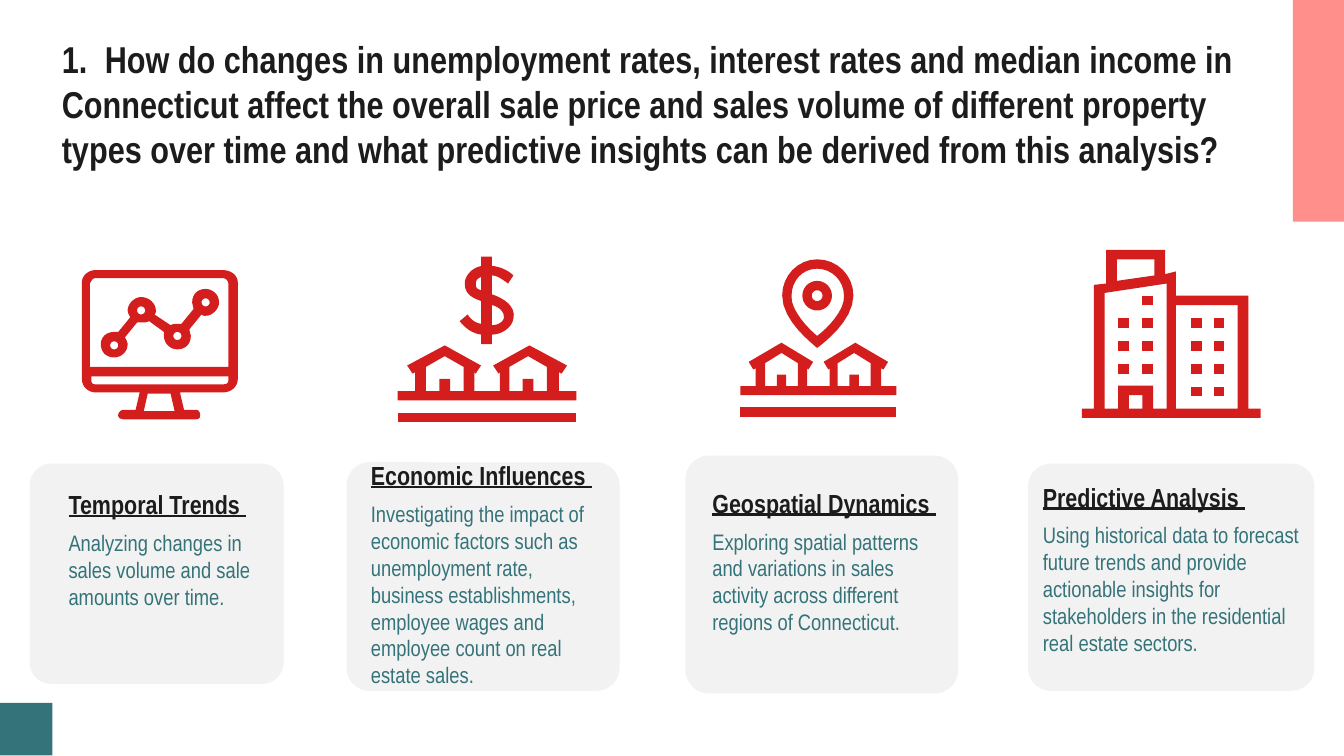
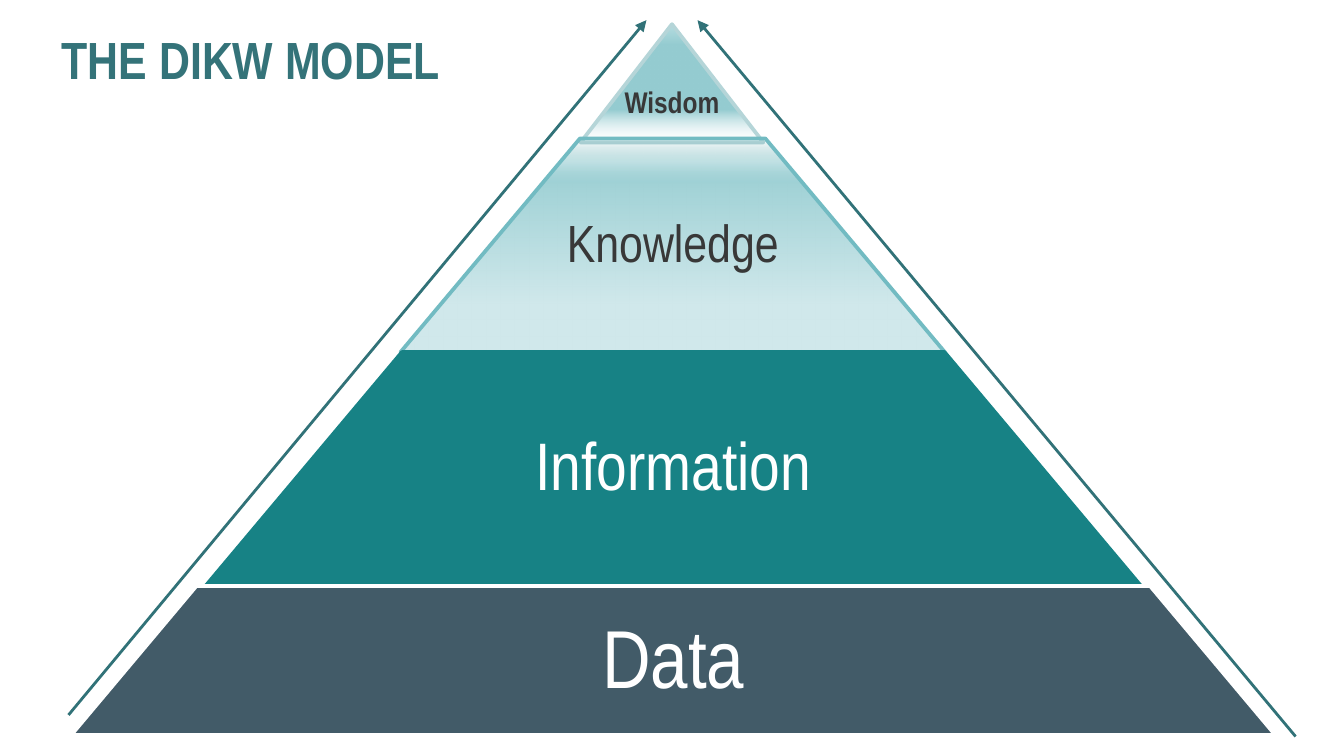
import math

from pptx import Presentation
from pptx import util as u
from pptx.dml.color import RGBColor
from pptx.enum import shapes, text
from pptx.oxml import parse_xml
from pptx.oxml.ns import nsdecls, qn

PX = 9144
FONT = "Arial Narrow"
COLORS = {
    "ink": "1C1C1C", "teal": "347379", "coral": "FF8F8A", "panel": "F2F2F2",
    "icon": "D41E1E", "gray": "383838", "white": "FFFFFF", "arrow": "317278",
    "information": "178285", "data": "425B68",
    "wisdom line": "B5D5D8", "knowledge line": "72BBC2",
}
HOUSE_SIZE = (133, 41)
CURVE_STEPS = 8


def px(length):
    return round(length * PX)


def color(name):
    return RGBColor.from_string(COLORS[name])


def add_block(slide, kind, box, fill=None, line=None):
    shape = slide.shapes.add_shape(kind, *map(px, box))
    shape.shadow.inherit = False
    if fill:
        shape.fill.solid()
        shape.fill.fore_color.rgb = color(fill)
    if line:
        shape.line.color.rgb = color(line)
        shape.line.width = u.Pt(2)
    else:
        shape.line.fill.background()
    return shape


def style(paragraph, size, name, bold=False, underline=False):
    paragraph.font.name = FONT
    paragraph.font.size = u.Pt(size)
    paragraph.font.bold = bold
    paragraph.font.underline = underline
    paragraph.font.color.rgb = color(name)


def set_frame(frame, anchor, horizontal, vertical):
    frame.word_wrap = True
    frame.auto_size = text.MSO_AUTO_SIZE.NONE
    frame.vertical_anchor = anchor
    frame.margin_left = frame.margin_right = px(horizontal)
    frame.margin_top = frame.margin_bottom = px(vertical)


def add_text(slide, box, margin):
    frame = slide.shapes.add_textbox(*map(px, box)).text_frame
    set_frame(frame, text.MSO_ANCHOR.MIDDLE, margin, margin)
    return frame


def set_title(slide, box, words, size, name, margin, tab=None):
    title = slide.shapes.title
    title.left, title.top, title.width, title.height = map(px, box)
    set_frame(title.text_frame, text.MSO_ANCHOR.TOP, 10, margin)
    paragraph = title.text_frame.paragraphs[0]
    paragraph.text = words
    paragraph.alignment = text.PP_ALIGN.LEFT
    if tab:
        paragraph._p.get_or_add_pPr().append(parse_xml(
            f'<a:tabLst {nsdecls("a")}><a:tab pos="{px(tab)}" algn="l"/></a:tabLst>'))
    style(paragraph, size, name, bold=True)


def flatten(outline):
    points = [outline[0]]
    for step in outline[1:]:
        if len(step) == 2:
            points.append(step)
            continue
        controls = [points[-1], step[:2], step[2:4], step[4:]]
        for index in range(1, CURVE_STEPS + 1):
            t = index / CURVE_STEPS
            weights = ((1 - t) ** 3, 3 * t * (1 - t) ** 2, 3 * t * t * (1 - t), t ** 3)
            points.append(tuple(sum(w * c[axis] for w, c in zip(weights, controls))
                                for axis in (0, 1)))
    return points


def circle(x, y, radius):
    angles = [math.tau * index / 32 for index in range(32)]
    return [(x + radius * math.cos(a), y + radius * math.sin(a)) for a in angles]


def rectangle(width, height):
    return [(0, 0), (0, height), (width, height), (width, 0)]


def draw(slide, box, size, outlines):
    left, top, width, height = box
    contours = [[(px(left + x * width / size[0]), px(top + y * height / size[1]))
                 for x, y in flatten(outline)] for outline in outlines]
    builder = slide.shapes.build_freeform(*contours[0][0], scale=1.0)
    builder.add_line_segments(contours[0][1:], close=True)
    for contour in contours[1:]:
        builder.move_to(*contour[0])
        builder.add_line_segments(contour[1:], close=True)
    shape = builder.convert_to_shape()
    shape.shadow.inherit = False
    shape.fill.solid()
    shape.fill.fore_color.rgb = color("icon")
    shape.line.fill.background()


def draw_monitor(slide, left, top):
    trend = [
        (92, 14), (86, 14, 82, 18, 82, 24), (82, 25, 83, 28, 83, 29), (74, 40),
        (70, 40, 67, 40, 66, 41), (54, 33), (55, 32, 55, 31, 55, 30),
        (55, 25, 50, 20, 44, 20), (39, 20, 34, 25, 34, 30), (34, 31, 35, 34, 36, 35),
        (27, 46), (24, 46), (18, 46, 14, 50, 14, 55), (14, 61, 18, 65, 24, 65),
        (29, 65, 34, 61, 34, 55), (34, 54, 33, 52, 32, 50), (41, 39), (44, 39),
        (46, 39, 48, 39, 50, 38), (61, 46), (61, 49), (61, 55, 66, 59, 71, 59),
        (77, 59, 81, 55, 81, 49), (81, 48, 80, 46, 80, 44), (89, 33),
        (90, 34, 91, 34, 92, 34), (97, 34, 102, 29, 102, 24), (102, 18, 97, 14, 92, 14)]
    dots = [circle(x, y, 3) for x, y in ((92, 24), (44, 30), (71, 49), (24, 56))]
    case = [
        (10, 0), (5, 0, 0, 4, 0, 9), (0, 81), (0, 87, 5, 91, 10, 91), (43, 91),
        (40, 104), (31, 104), (29, 104, 27, 106, 27, 108), (27, 110, 29, 111, 31, 111),
        (85, 111), (87, 111, 88, 110, 88, 108), (88, 106, 87, 104, 85, 104), (76, 104),
        (73, 91), (105, 91), (111, 91, 116, 87, 116, 81), (116, 9), (116, 4, 111, 0, 105, 0)]
    display = [(105, 6), (107, 6, 109, 8, 109, 10), (109, 72), (6, 72), (6, 10),
               (7, 8, 8, 6, 10, 6)]
    strip = [(109, 79), (109, 82), (109, 84, 108, 85, 105, 85), (10, 85),
             (8, 85, 7, 84, 7, 82), (7, 79)]
    stand = [(66, 92), (69, 105), (46, 105), (49, 92)]
    box = (left, top, 116, 111)
    draw(slide, box, box[2:], [trend, *dots])
    draw(slide, box, box[2:], [case, display, strip, stand])


def draw_houses(slide, left, top, width, height, gap):
    half = [(57, 34), (57, 20), (58, 21), (62, 15), (35, 0), (7, 15), (11, 21),
            (13, 20), (13, 34), (0, 34), (0, 41)]
    outer = half + [(HOUSE_SIZE[0] - x, y) for x, y in reversed(half)]
    opening = [(35, 8), (49, 16), (49, 34), (39, 34), (39, 25), (31, 25), (31, 34),
               (21, 34), (21, 16)]
    second = [(x + 62, y) for x, y in opening]
    draw(slide, (left, top, width, height), HOUSE_SIZE, [outer, opening, second])
    draw(slide, (left, top + height + gap, width, 7), (width, 7), [rectangle(width, 7)])


def draw_dollar(slide, left, top):
    sign = [
        (16, 0), (16, 7), (10, 8, 5, 13, 4, 18), (3, 26, 7, 30, 16, 33), (16, 50),
        (9, 49, 6, 43, 6, 43), (0, 48), (4, 53, 9, 57, 16, 58), (16, 65), (24, 65),
        (24, 58), (31, 58, 39, 53, 40, 46), (42, 37, 33, 31, 24, 28), (24, 14),
        (28, 14, 32, 17, 36, 20), (40, 14), (36, 10, 29, 7, 24, 7), (24, 0)]
    upper = [(16, 15), (16, 25), (12, 24, 12, 22, 12, 20), (12, 17, 14, 16, 16, 15)]
    lower = [(24, 36), (24, 36, 33, 38, 33, 45), (33, 48, 29, 51, 24, 51)]
    draw(slide, (left, top, 42, 65), (42, 65), [sign, upper, lower])


def draw_pin(slide, left, top):
    outer = [(26, 0), (12, 0, 0, 12, 0, 27), (0, 46, 23, 63, 26, 66),
             (30, 63, 53, 46, 53, 27), (53, 12, 41, 0, 26, 0)]
    inner = [(26, 7), (37, 7, 46, 16, 46, 27), (47, 38, 33, 52, 26, 57),
             (20, 52, 6, 38, 7, 27), (7, 16, 15, 7, 26, 7)]
    draw(slide, (left + 15, top + 16, 22, 22), (22, 22),
         [circle(11, 11, 11), circle(11, 11, 4)])
    draw(slide, (left, top, 53, 66), (53, 66), [outer, inner])


def draw_building(slide, left, top):
    for x, rows in ((27, range(1, 4)), (45, range(4)), (81, range(1, 5)), (98, range(1, 5))):
        for row in rows:
            draw(slide, (left + x, top + 34 + 17 * row, 8, 7), (8, 7), [rectangle(8, 7)])
    walls = [(18, 0), (18, 25), (9, 26), (9, 118), (0, 118), (0, 125), (133, 125),
             (133, 118), (124, 118), (124, 34), (70, 34), (70, 16), (62, 18), (62, 0)]
    roof = [(54, 7), (54, 19), (26, 23), (26, 7)]
    door = [(45, 108), (45, 118), (35, 118), (35, 108)]
    annex = [(116, 41), (116, 118), (70, 118), (70, 41)]
    tower = [(63, 25), (63, 118), (53, 118), (53, 101), (27, 101), (27, 118), (17, 118),
             (17, 32)]
    draw(slide, (left, top, 133, 125), (133, 125), [walls, roof, door, annex, tower])


def add_topic(slide, panel, box, heading, body):
    add_block(slide, shapes.MSO_SHAPE.ROUNDED_RECTANGLE, panel, "panel").adjustments[0] = 0.1
    frame = add_text(slide, box, 13)
    first = frame.paragraphs[0]
    first.text = heading
    first.space_after = u.Pt(5)
    style(first, 14, "ink", bold=True, underline=True)
    second = frame.add_paragraph()
    second.text = body
    style(second, 12, "teal")


def add_bands(slide):
    add_block(slide, shapes.MSO_SHAPE.RECTANGLE, (0, 523, 39, 39), "teal")
    add_block(slide, shapes.MSO_SHAPE.RECTANGLE, (962, 0, 39, 165), "coral")


def build_question(slide):
    add_bands(slide)
    set_title(slide, (36, 17, 924, 170),
              "1.\tHow do changes in unemployment rates, interest rates and median income in "
              "Connecticut affect the overall sale price and sales volume of different property "
              "types over time and what predictive insights can be derived from this analysis?",
              20, "ink", 10, tab=32)
    topics = [
        ((22, 345, 189, 164), (38, 321, 165, 175), "Temporal Trends ",
         "Analyzing changes in sales volume and sale amounts over time."),
        ((258, 344, 203, 170), (263, 400, 197, 54), "Economic Influences ",
         "Investigating the impact of economic factors such as unemployment rate, business "
         "establishments, employee wages and employee count on real estate sales."),
        ((510, 339, 203, 177), (517, 368, 205, 99), "Geospatial Dynamics ",
         "Exploring spatial patterns and variations in sales activity across different "
         "regions of Connecticut."),
        ((765, 345, 213, 169), (763, 395, 226, 56), "Predictive Analysis ",
         "Using historical data to forecast future trends and provide actionable insights "
         "for stakeholders in the residential real estate sectors."),
    ]
    for topic in topics:
        add_topic(slide, *topic)
    draw_monitor(slide, 61, 201)
    draw_dollar(slide, 342, 191)
    draw_houses(slide, 296, 257, 133, 41, 9)
    draw_houses(slide, 551, 255, 116, 39, 9)
    draw_pin(slide, 582, 193)
    draw_building(slide, 805, 186)


def set_gradient(shape, stops, angle):
    marks = "".join(
        f'<a:gs pos="{position * 1000}"><a:srgbClr val="{value}">'
        f'<a:alpha val="{opacity * 1000}"/></a:srgbClr></a:gs>'
        for position, value, opacity in stops)
    properties = shape._element.spPr
    properties.find(qn("a:prstGeom")).addnext(parse_xml(
        f'<a:gradFill {nsdecls("a")} rotWithShape="1"><a:gsLst>{marks}</a:gsLst>'
        f'<a:lin ang="{angle * 60000}" scaled="0"/></a:gradFill>'))


def add_level(slide, box, fill, line, label, size, name, gradient=None, share=0.65, drop=0):
    shape = add_block(slide, shapes.MSO_SHAPE.TRAPEZOID, box, fill, line)
    shape.adjustments[0] = 0.84
    if gradient:
        set_gradient(shape, *gradient)
    left, top, width, height = box
    label_box = (left + width * (1 - share) / 2, top + drop, width * share, height)
    paragraph = add_text(slide, label_box, 2).paragraphs[0]
    paragraph.text = label
    paragraph.alignment = text.PP_ALIGN.CENTER
    paragraph.line_spacing = 0.9
    style(paragraph, size, name, bold=label == "Wisdom")


def add_arrow(slide, start, end):
    connector = slide.shapes.add_connector(
        shapes.MSO_CONNECTOR.STRAIGHT, *map(px, start + end))
    connector.line.color.rgb = color("arrow")
    connector.line.width = u.Pt(1.5)
    properties = connector._element.spPr
    properties.find(qn("a:ln")).append(parse_xml(f'<a:tailEnd {nsdecls("a")} type="triangle"/>'))
    properties.append(parse_xml(f'<a:effectLst {nsdecls("a")}/>'))


def build_pyramid(slide):
    set_title(slide, (36, 15, 333, 57), "THE DIKW MODEL", 28, "teal", 5)
    wisdom = ([(0, "F3F9FA", 0), (28, "95CCD1", 100), (83, "95CCD1", 100),
               (100, "B8DDE1", 100)], 270)
    knowledge = ([(0, "178285", 0), (11, "72BBC2", 44), (21, "A1D2D6", 100),
                  (77, "D0E8EB", 100)], 90)
    add_level(slide, (432, 18, 136, 88), None, "wisdom line", "Wisdom", 16, "gray",
              wisdom, share=1, drop=15)
    add_level(slide, (298, 103, 405, 159), None, "knowledge line", "Knowledge", 28, "gray",
              knowledge)
    add_level(slide, (153, 262, 696, 174), "information", "information", "Information", 36, "white")
    add_level(slide, (53, 436, 896, 111), "data", "white", "Data", 44, "white", drop=1)
    add_arrow(slide, (51, 532), (481, 15))
    add_arrow(slide, (964, 548), (519, 15))


def main():
    presentation = Presentation()
    presentation.slide_width, presentation.slide_height = px(1000), px(562.5)
    for build in (build_question, build_pyramid):
        build(presentation.slides.add_slide(presentation.slide_layouts[5]))
    presentation.save("out.pptx")


if __name__ == "__main__":
    main()
